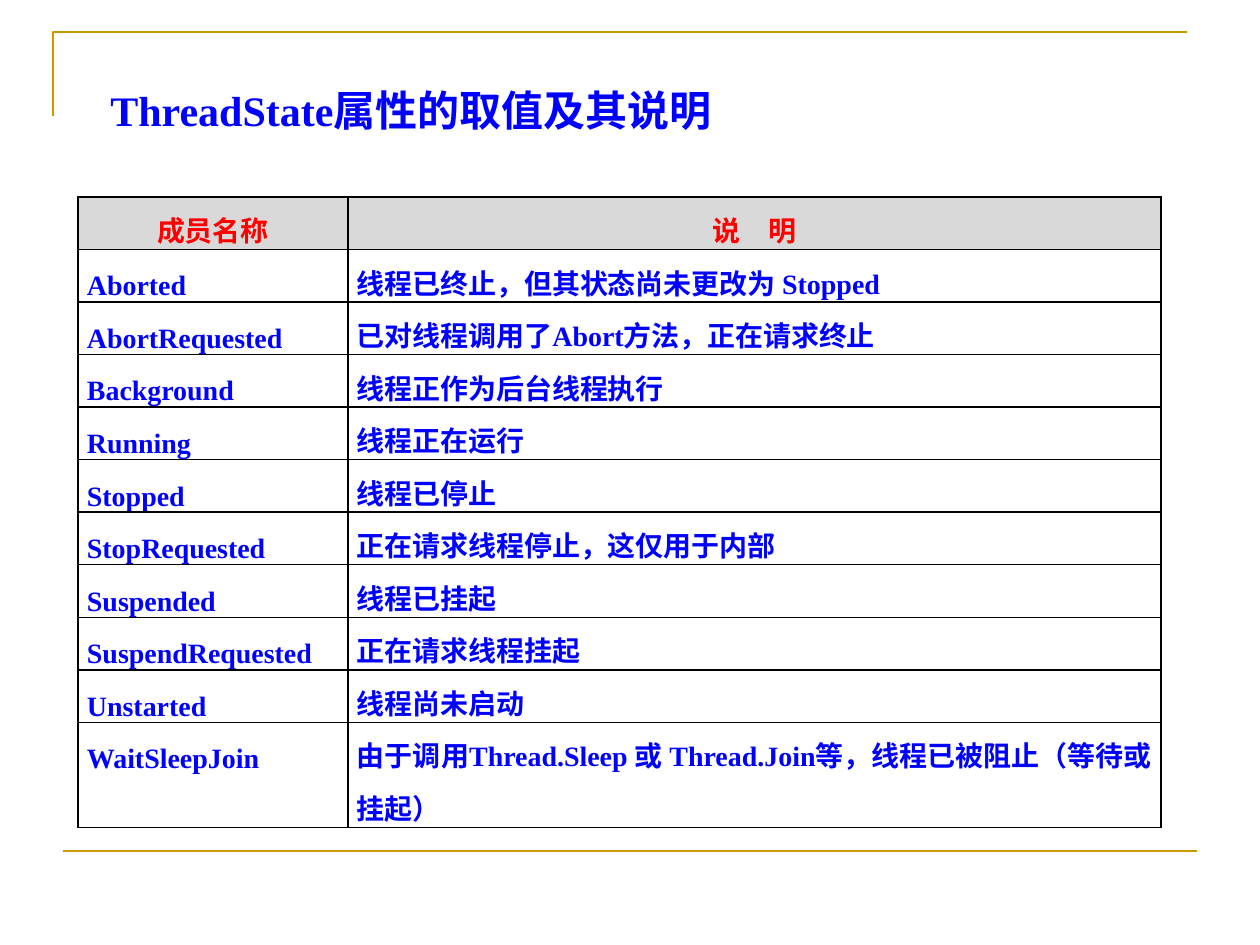
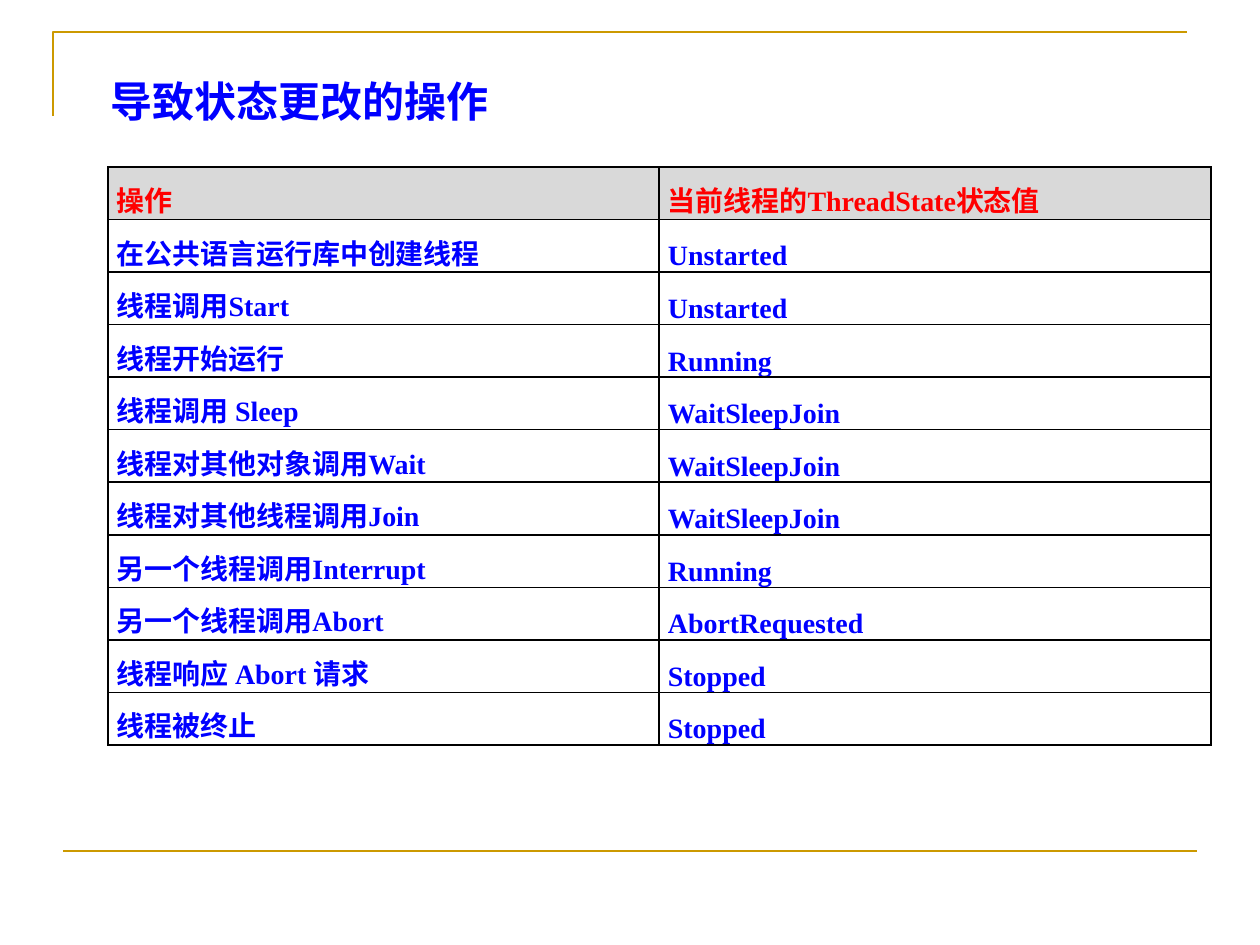
from dataclasses import dataclass

from lxml import etree
from pptx import Presentation
from pptx.dml.color import RGBColor
from pptx.enum.shapes import MSO_CONNECTOR
from pptx.enum.text import MSO_AUTO_SIZE, PP_ALIGN
from pptx.oxml.ns import qn
from pptx.util import Emu, Pt

CENTER, JUSTIFY = PP_ALIGN.CENTER, PP_ALIGN.JUSTIFY
STRAIGHT = MSO_CONNECTOR.STRAIGHT
GROW = MSO_AUTO_SIZE.SHAPE_TO_FIT_TEXT
SERIF, SANS = "Times New Roman", "Noto Sans CJK SC"


def px(n):
    """Turn pixels into EMU at 126 pixels to the inch."""
    return Emu(round(n * 914400 / 126))


@dataclass(frozen=True)
class Theme:
    """Colours and type sizes of the deck."""
    gold: str = "CC9900"
    text: str = "0000FF"
    header: str = "FF0000"
    header_fill: str = "D9D9D9"
    border: str = "000000"
    title_size: int = 24
    table_size: int = 16
    line_spacing: int = 30
    rule_width: float = 1.5
    border_width: int = 1


class Deck:
    """Hold the style and the current slide, and draw on it."""

    def __init__(self, theme):
        """Open an empty presentation."""
        self.theme = theme
        self.prs = Presentation()
        self.prs.slide_width, self.prs.slide_height = px(1260), px(945)

    def add_slide(self):
        """Start a slide with its corner frame and bottom rule."""
        self.s = self.prs.slides.add_slide(self.prs.slide_layouts[6])
        fb = self.s.shapes.build_freeform(px(53), px(116))
        fb.add_line_segments([(px(53), px(32)), (px(1187), px(32))], close=False)
        sp = fb.convert_to_shape()
        sp.shadow.inherit = False
        sp.fill.background()
        self.rule(sp)
        cxn = self.s.shapes.add_connector(STRAIGHT, px(63), px(851), px(1197), px(851))
        etree.SubElement(cxn._element.spPr, qn("a:effectLst"))
        self.rule(cxn)

    def rule(self, sp):
        """Give a shape the gold rule line."""
        sp.line.color.rgb = RGBColor.from_string(self.theme.gold)
        sp.line.width = Pt(self.theme.rule_width)

    def style(self, p, size, color, font=SERIF):
        """Format the runs of a paragraph."""
        for r in p.runs:
            r.font.size, r.font.bold, r.font.name = Pt(size), True, font
            r.font.color.rgb = RGBColor.from_string(color)
            etree.SubElement(r.font._element, qn("a:ea"), typeface=SANS)

    def title(self, text, y, width, font=SERIF):
        """Add the slide title."""
        tf = self.s.shapes.add_textbox(px(98), px(y), px(width), px(63)).text_frame
        tf.word_wrap, tf.auto_size = True, GROW
        tf.text = text
        self.style(tf.paragraphs[0], self.theme.title_size, self.theme.text, font)

    def borders(self, cell):
        """Draw the four borders of a cell."""
        tc_pr = cell._tc.get_or_add_tcPr()
        for side in ("lnL", "lnR", "lnT", "lnB"):
            ln = etree.SubElement(tc_pr, qn(f"a:{side}"), w=str(Pt(self.theme.border_width)))
            fill = etree.SubElement(ln, qn("a:solidFill"))
            etree.SubElement(fill, qn("a:srgbClr"), val=self.theme.border)

    def cell(self, cell, text, is_header, align):
        """Fill and format one table cell."""
        t = self.theme
        cell.margin_left = cell.margin_right = px(9)
        cell.margin_top = cell.margin_bottom = 0
        self.borders(cell)
        if is_header:
            cell.fill.solid()
            cell.fill.fore_color.rgb = RGBColor.from_string(t.header_fill)
        else:
            cell.fill.background()
        cell.text_frame.text = text
        p = cell.text_frame.paragraphs[0]
        p.alignment, p.line_spacing = align, Pt(t.line_spacing)
        self.style(p, t.table_size, t.header if is_header else t.text)

    def table(self, x, y, widths, height, rows, header_align=JUSTIFY):
        """Add a bordered table whose first row is the header."""
        frame = self.s.shapes.add_table(
            len(rows), len(widths), px(x), px(y), px(sum(widths)), px(height))
        table = frame.table
        table.first_row = table.horz_banding = False
        for col, width in zip(table.columns, widths):
            col.width = px(width)
        for i, row in enumerate(rows):
            table.rows[i].height = px(52)
            for j, text in enumerate(row):
                self.cell(table.cell(i, j), text, i == 0, JUSTIFY if i else header_align)
        table.rows[len(rows) - 1].height = px(height - 52 * (len(rows) - 1))


STATES = [
    ("成员名称", "说\u3000明"),
    ("Aborted", "线程已终止，但其状态尚未更改为\u00a0Stopped"),
    ("AbortRequested", "已对线程调用了Abort方法，正在请求终止"),
    ("Background", "线程正作为后台线程执行"),
    ("Running", "线程正在运行"),
    ("Stopped", "线程已停止"),
    ("StopRequested", "正在请求线程停止，这仅用于内部"),
    ("Suspended", "线程已挂起"),
    ("SuspendRequested", "正在请求线程挂起"),
    ("Unstarted", "线程尚未启动"),
    ("WaitSleepJoin",
     "由于调用Thread.Sleep\u00a0或\u00a0Thread.Join等，线程已被阻止（等待或挂起）"),
]
OPERATIONS = [
    ("操作", "当前线程的ThreadState状态值"),
    ("在公共语言运行库中创建线程", "Unstarted"),
    ("线程调用Start", "Unstarted"),
    ("线程开始运行", "Running"),
    ("线程调用\u00a0Sleep", "WaitSleepJoin"),
    ("线程对其他对象调用Wait", "WaitSleepJoin"),
    ("线程对其他线程调用Join", "WaitSleepJoin"),
    ("另一个线程调用Interrupt", "Running"),
    ("另一个线程调用Abort", "AbortRequested"),
    ("线程响应\u00a0Abort\u00a0请求", "Stopped"),
    ("线程被终止", "Stopped"),
]

deck = Deck(Theme())

deck.add_slide()
deck.title("ThreadState属性的取值及其说明", 78, 906)
deck.table(78, 197, (270, 813), 625, STATES, CENTER)

deck.add_slide()
deck.title("导致状态更改的操作", 69, 699, SANS)
deck.table(108, 167, (551, 552), 572, OPERATIONS)

deck.prs.save("out.pptx")
